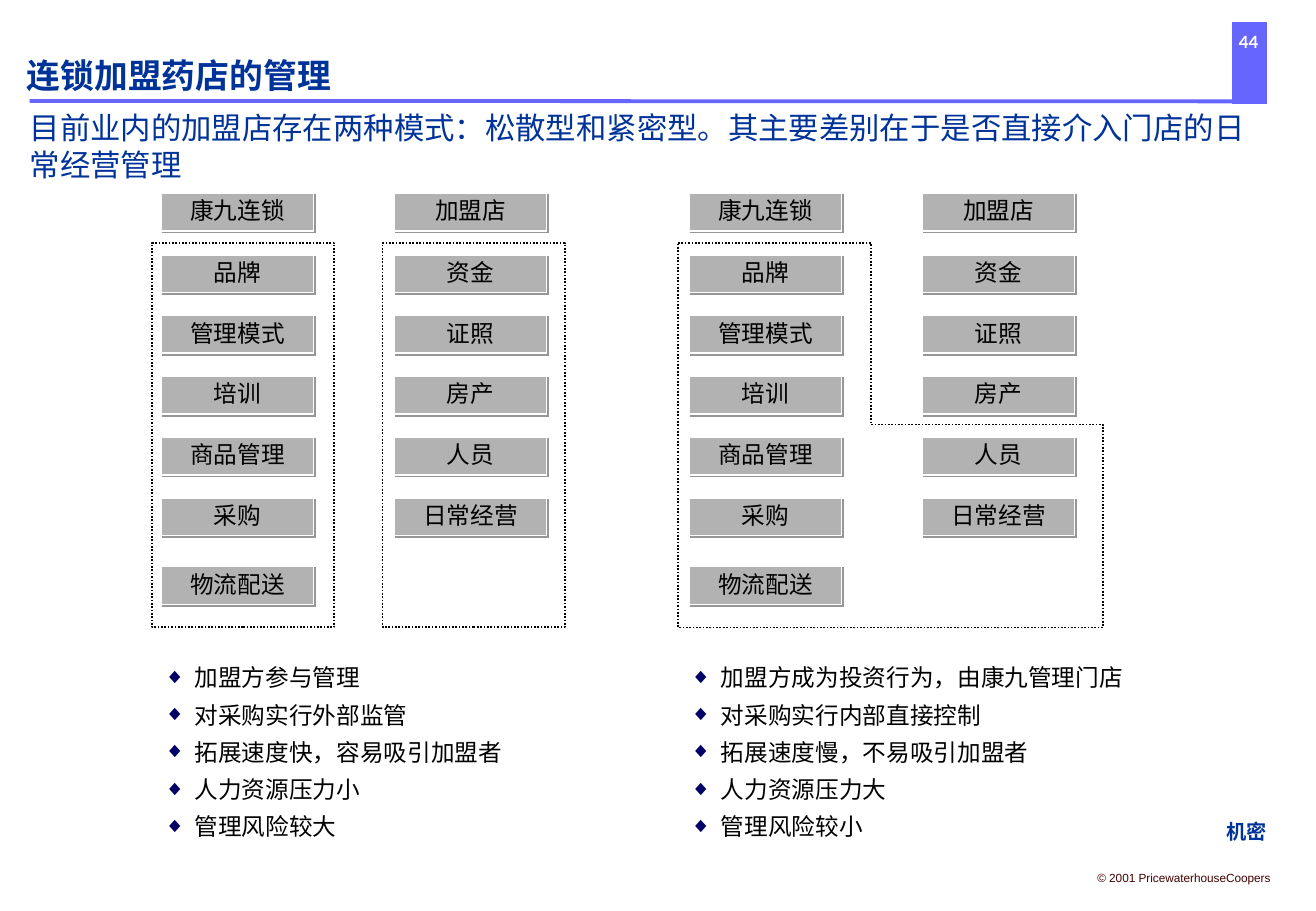
import pptx
import pptx.dml.color
import pptx.enum.dml
import pptx.enum.shapes
import pptx.enum.text
import pptx.oxml
import pptx.oxml.ns
import pptx.util
from pptx.util import Cm, Pt

ANCHOR = pptx.enum.text.MSO_ANCHOR
ALIGN = pptx.enum.text.PP_ALIGN
RECT = pptx.enum.shapes.MSO_SHAPE.RECTANGLE
HAN = "Noto Sans CJK SC"
NAVY, VIOLET, BLACK, WHITE = "003399", "6666FF", "000000", "FFFFFF"


def color(code):
    return pptx.dml.color.RGBColor.from_string(code)


def add_xml(parent, tag, **attrs):
    node = pptx.oxml.parse_xml(f"<a:{tag} {pptx.oxml.ns.nsdecls('a')}/>")
    for key, value in attrs.items():
        node.set(key, str(value))
    parent.append(node)
    return node


class Page:
    def __init__(self, slide):
        self.slide = slide
        self.shapes = slide.shapes

    def frame(self, shape, pad=(0, 0), anchor=ANCHOR.MIDDLE, wrap=True):
        frame = shape.text_frame
        frame.auto_size = pptx.enum.text.MSO_AUTO_SIZE.NONE
        frame.word_wrap = wrap
        frame.vertical_anchor = anchor
        frame.margin_left = frame.margin_right = Cm(pad[0])
        frame.margin_top = frame.margin_bottom = Cm(pad[1])
        return frame

    def run(self, para, text, size, code, face=HAN, bold=False):
        run = para.add_run()
        run.text = text
        font = run.font
        font.name, font.size, font.bold = face, Pt(size), bold
        font.color.rgb = color(code)
        add_xml(font._element, "ea", typeface=HAN)

    def place(self, shape, area):
        shape.left, shape.top, shape.width, shape.height = map(Cm, area)

    def title(self, area, text):
        shape = self.shapes.title
        self.place(shape, area)
        para = self.frame(shape, anchor=ANCHOR.BOTTOM).paragraphs[0]
        para.alignment = ALIGN.LEFT
        self.run(para, text, 18, NAVY)

    def label(self, area, text, size, code, face=HAN, bold=False,
              align=ALIGN.CENTER, anchor=ANCHOR.MIDDLE):
        shape = self.shapes.add_textbox(*map(Cm, area))
        para = self.frame(shape, anchor=anchor, wrap=False).paragraphs[0]
        para.alignment = align
        self.run(para, text, size, code, face, bold)

    def rect(self, area, fill, line, width):
        shape = self.shapes.add_shape(RECT, *map(Cm, area))
        shape.shadow.inherit = False
        shape.fill.solid()
        shape.fill.fore_color.rgb = color(fill)
        shape.line.color.rgb = color(line)
        shape.line.width = Pt(width)
        add_xml(shape.line._ln, "miter", lim=800000)
        return shape

    def rule(self, start, end):
        line = self.shapes.add_connector(
            pptx.enum.shapes.MSO_CONNECTOR.STRAIGHT, *map(Cm, start + end))
        line.line.color.rgb = color(VIOLET)
        line.line.width = Pt(2.25)
        add_xml(line._element.spPr, "effectLst")

    def card(self, left, top, text):
        shape = self.rect((left, top, 3.18, 0.79), "B2B2B2", WHITE, 1)
        effects = shape._element.spPr.find(pptx.oxml.ns.qn("a:effectLst"))
        shadow = add_xml(effects, "outerShdw", dist=Pt(1.4), dir=45 * 60000,
                         algn="ctr", rotWithShape=0)
        add_xml(shadow, "srgbClr", val="969696")
        para = self.frame(shape, (0.25, 0.13)).paragraphs[0]
        para.alignment = ALIGN.CENTER
        para.line_spacing = 0.9
        self.run(para, text, 14, BLACK, "Roboto")

    def border(self, points):
        """Draw a closed dotted outline through the points."""
        spots = [(Cm(x), Cm(y)) for x, y in points]
        pen = self.shapes.build_freeform(*spots[0], scale=1.0)
        pen.add_line_segments(spots[1:], close=True)
        self.dot(pen.convert_to_shape())

    def box(self, area):
        self.dot(self.shapes.add_shape(RECT, *map(Cm, area)))

    def dot(self, shape):
        shape.shadow.inherit = False
        shape.fill.background()
        shape.line.color.rgb = color(BLACK)
        shape.line.width = Pt(1)
        shape.line.dash_style = pptx.enum.dml.MSO_LINE.ROUND_DOT

    def bullets(self, index, area, items):
        shape = self.slide.placeholders[index]
        self.place(shape, area)
        frame = self.frame(shape, (0.25, 0.13), ANCHOR.TOP)
        for i, text in enumerate(items):
            para = frame.add_paragraph() if i else frame.paragraphs[0]
            props = para._p.get_or_add_pPr()
            props.set("marL", str(Cm(0.64)))
            props.set("indent", str(-Cm(0.64)))
            add_xml(add_xml(props, "buClr"), "srgbClr", val="000066")
            add_xml(props, "buSzPct", val=90000)
            add_xml(props, "buChar", char="◆")
            para.space_before = Pt(5.2 if i else 0)
            self.run(para, text, 14, BLACK)


def main():
    deck = pptx.Presentation()
    deck.slide_width, deck.slide_height = Pt(780), Pt(540)
    page = Page(deck.slides.add_slide(deck.slide_layouts[3]))

    page.rect((25.8, 0.5, 0.66, 1.64), VIOLET, VIOLET, 2.25)
    page.rule((0.62, 2.11), (26.1, 2.12))
    page.label((25.22, 0.63, 1.78, 0.5), "44", 10, WHITE, "Lato", True)
    page.label((22.7, 18.07, 4.11, 0.56), "© 2001 PricewaterhouseCoopers",
               7, "440000", "Arial")
    page.label((25.4, 17, 1.35, 0.76), "机密", 12, NAVY, "Arial", True)
    page.title((0.62, 2.11, 25.83, 1.7),
               "目前业内的加盟店存在两种模式：松散型和紧密型。"
               "其主要差别在于是否直接介入门店的日常经营管理")
    page.label((0.56, 0.48, 24.66, 1.52), "连锁加盟药店的管理", 20, NAVY,
               bold=True, align=ALIGN.LEFT, anchor=ANCHOR.BOTTOM)

    tops = [4.04] + [5.33 + 1.27 * i for i in range(5)] + [11.85]
    chain = ["康九连锁", "品牌", "管理模式", "培训", "商品管理", "采购", "物流配送"]
    store = ["加盟店", "资金", "证照", "房产", "人员", "日常经营"]
    for shift in (0, 11.04):
        for left, names in ((3.38, chain), (8.25, store)):
            for top, name in zip(tops, names):
                page.card(left + shift, top, name)

    for left in (3.18, 8):
        page.box((left, 5.08, 3.81, 8.04))
    page.border([(14.18, 5.08), (18.21, 5.08), (18.21, 8.88),
                 (23.07, 8.88), (23.07, 13.12), (14.18, 13.12)])

    page.bullets(1, (3.18, 13.74, 7.82, 4.75), [
        "加盟方参与管理", "对采购实行外部监管", "拓展速度快，容易吸引加盟者",
        "人力资源压力小", "管理风险较大"])
    page.bullets(2, (14.18, 13.74, 10.8, 4.75), [
        "加盟方成为投资行为，由康九管理门店", "对采购实行内部直接控制",
        "拓展速度慢，不易吸引加盟者", "人力资源压力大", "管理风险较小"])
    deck.save("out.pptx")


if __name__ == "__main__":
    main()
